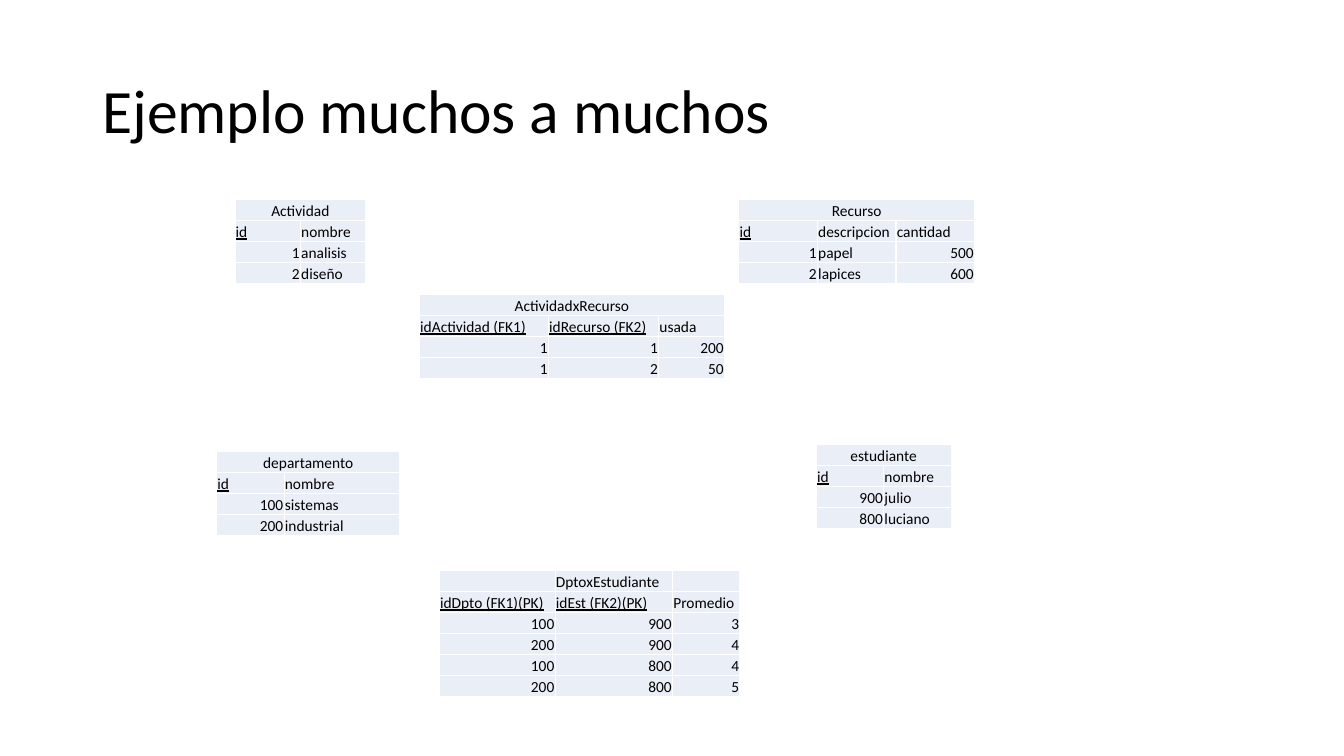
from dataclasses import dataclass

from lxml import etree
from pptx import Presentation
from pptx import util as u
from pptx.dml.color import RGBColor
from pptx.enum import text
from pptx.oxml import ns
from pptx.slide import Slide
from pptx.table import Table, _Cell
from pptx.text.text import _Paragraph


@dataclass(frozen=True)
class Theme:
    font: str = "Calibri"
    ink: str = "000000"
    cell: str = "EAEFF7"
    border: str = "FFFFFF"
    border_width: int = u.Pt(1)
    title_size: int = u.Pt(44)
    cell_size: int = u.Pt(11)
    row_height: int = u.Cm(0.53)
    inset: int = u.Cm(0.02)


@dataclass(frozen=True)
class Relation:
    name: str
    left: float
    top: float
    widths: tuple[float, ...]
    keys: tuple[str, ...]
    fields: tuple[str, ...]
    rows: tuple[tuple[str, ...], ...]
    merged_name: bool = True


THEME = Theme()

RELATIONS = (
    Relation("Actividad", 5.92, 5.03, (1.65, 1.65), ("id",), ("nombre",),
             (("1", "analisis"), ("2", "diseño"))),
    Relation("Recurso", 18.62, 5.03, (1.98, 1.98, 1.98), ("id",), ("descripcion", "cantidad"),
             (("1", "papel", "500"), ("2", "lapices", "600"))),
    Relation("ActividadxRecurso", 10.57, 7.42, (3.25, 2.78, 1.66),
             ("idActividad (FK1)", "idRecurso (FK2)"), ("usada",),
             (("1", "1", "200"), ("1", "2", "50"))),
    Relation("departamento", 5.46, 11.38, (1.7, 2.92), ("id",), ("nombre",),
             (("100", "sistemas"), ("200", "industrial"))),
    Relation("estudiante", 20.57, 11.2, (1.7, 1.7), ("id",), ("nombre",),
             (("900", "julio"), ("800", "luciano"))),
    Relation("DptoxEstudiante", 11.07, 14.38, (2.92, 2.96, 1.7),
             ("idDpto (FK1)(PK)", "idEst (FK2)(PK)"), ("Promedio",),
             (("100", "900", "3"), ("200", "900", "4"),
              ("100", "800", "4"), ("200", "800", "5")), merged_name=False),
)


def style_paragraph(p: _Paragraph, size: int) -> None:
    p.font.name = THEME.font
    p.font.size = size
    p.font.color.rgb = RGBColor.from_string(THEME.ink)


def add_borders(cell: _Cell) -> None:
    """Put the four edge lines ahead of the cell fill, as the schema asks."""
    props = cell._tc.get_or_add_tcPr()
    for i, edge in enumerate(("lnL", "lnR", "lnT", "lnB")):
        line = etree.Element(ns.qn(f"a:{edge}"), w=str(THEME.border_width))
        fill = etree.SubElement(line, ns.qn("a:solidFill"))
        etree.SubElement(fill, ns.qn("a:srgbClr"), val=THEME.border)
        props.insert(i, line)


def style_cell(cell: _Cell) -> None:
    cell.fill.solid()
    cell.fill.fore_color.rgb = RGBColor.from_string(THEME.cell)
    cell.margin_left = cell.margin_right = cell.margin_top = THEME.inset
    cell.margin_bottom = 0
    cell.vertical_anchor = text.MSO_ANCHOR.BOTTOM
    add_borders(cell)
    style_paragraph(cell.text_frame.paragraphs[0], THEME.cell_size)


def write_cell(cell: _Cell, value: str, align: text.PP_ALIGN, underline: bool = False) -> None:
    p = cell.text_frame.paragraphs[0]
    p.alignment = align
    if underline:
        p.font.underline = True
    p.add_run().text = value


def fill_relation(table: Table, relation: Relation) -> None:
    # Name row
    if relation.merged_name:
        table.cell(0, 0).merge(table.cell(0, len(relation.widths) - 1))
        write_cell(table.cell(0, 0), relation.name, text.PP_ALIGN.CENTER)
    else:
        write_cell(table.cell(0, 1), relation.name, text.PP_ALIGN.LEFT)

    # Field row, with the keys underlined
    for col, field in enumerate(relation.keys + relation.fields):
        write_cell(table.cell(1, col), field, text.PP_ALIGN.LEFT, field in relation.keys)

    # Records, with numbers set to the right
    for row, record in enumerate(relation.rows, start=2):
        for col, value in enumerate(record):
            align = text.PP_ALIGN.RIGHT if value.isdigit() else text.PP_ALIGN.LEFT
            write_cell(table.cell(row, col), value, align)


def add_relation(s: Slide, relation: Relation) -> None:
    count = len(relation.rows) + 2
    table = s.shapes.add_table(
        count, len(relation.widths), u.Cm(relation.left), u.Cm(relation.top),
        u.Cm(sum(relation.widths)), THEME.row_height * count).table
    table.first_row = table.horz_banding = False
    for column, width in zip(table.columns, relation.widths):
        column.width = u.Cm(width)
    for row in table.rows:
        row.height = THEME.row_height
    for cell in table.iter_cells():
        style_cell(cell)
    fill_relation(table, relation)


def add_title(s: Slide, title: str) -> None:
    tf = s.shapes.add_textbox(u.Cm(2.33), u.Cm(1.02), u.Cm(29.21), u.Cm(3.68)).text_frame
    tf.word_wrap = True
    tf.vertical_anchor = text.MSO_ANCHOR.MIDDLE
    p = tf.paragraphs[0]
    p.line_spacing = 0.9
    style_paragraph(p, THEME.title_size)
    p.add_run().text = title


# Slide
prs = Presentation()
prs.slide_width, prs.slide_height = u.Cm(33.87), u.Cm(19.05)
s = prs.slides.add_slide(prs.slide_layouts[6])

# Title and tables
add_title(s, "Ejemplo muchos a muchos")
for relation in RELATIONS:
    add_relation(s, relation)

prs.save("out.pptx")
